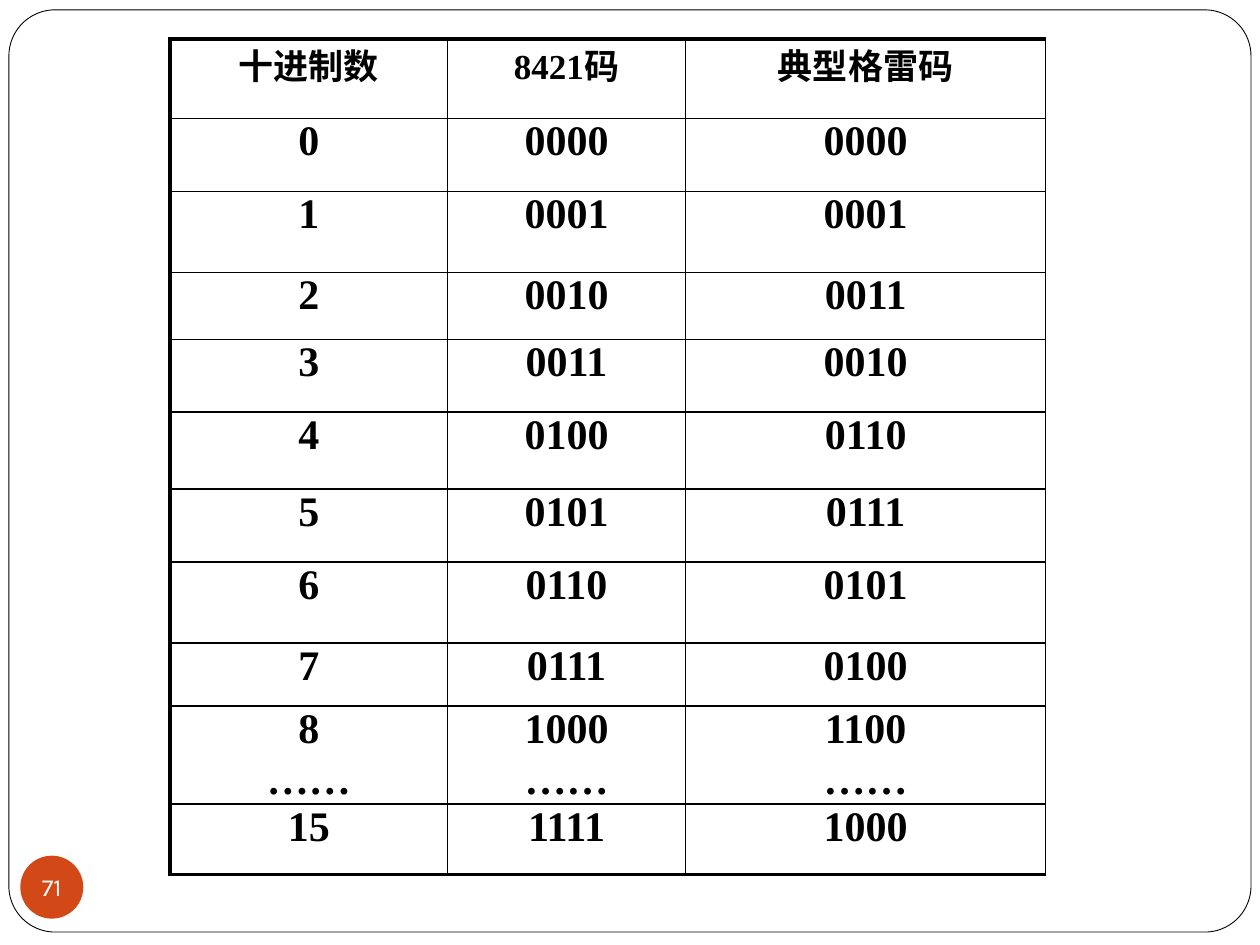
import pptx
import pptx.dml.color
import pptx.enum.shapes
import pptx.enum.text
import pptx.oxml
import pptx.oxml.ns
import pptx.util

Cm, Pt = pptx.util.Cm, pptx.util.Pt
SHAPES = pptx.enum.shapes.MSO_SHAPE
BLACK, WHITE, ORANGE = "000000", "FFFFFF", "D34817"
THIN, THICK = 1, 2.25
HEADERS = ["十进制数", "8421码", "典型格雷码"]
COLUMN_WIDTHS = [5.59, 4.8, 7.26]
ROW_HEIGHTS = [1.6, 1.47, 1.63, 1.35, 1.47, 1.55, 1.47, 1.63, 1.27, 1.6, 1.42]
CELL_FORMAT = {
    "margin_left": Cm(0.25),
    "margin_right": Cm(0.25),
    "margin_top": Cm(0),
    "margin_bottom": Cm(0),
    "vertical_anchor": pptx.enum.text.MSO_ANCHOR.TOP,
}
BADGE_FORMAT = {
    "margin_left": Cm(0),
    "margin_right": Cm(0),
    "margin_top": Cm(0),
    "margin_bottom": Cm(0),
    "vertical_anchor": pptx.enum.text.MSO_ANCHOR.MIDDLE,
    "word_wrap": False,
}


def color(value):
    """Return the colour for a hex string."""
    return pptx.dml.color.RGBColor.from_string(value)


def apply_format(target, values):
    """Set each named attribute on the target."""
    for name, value in values.items():
        setattr(target, name, value)


def write_paragraph(paragraph, text, font_color, **font_format):
    """Write one centred, formatted paragraph."""
    paragraph.alignment = pptx.enum.text.PP_ALIGN.CENTER
    run = paragraph.add_run()
    run.text = text
    apply_format(run.font, font_format)
    run.font.color.rgb = color(font_color)


def add_filled_shape(slide, kind, position, fill):
    """Add a flat preset shape placed in centimetres."""
    shape = slide.shapes.add_shape(kind, *map(Cm, position))
    shape.shadow.inherit = False
    shape.fill.solid()
    shape.fill.fore_color.rgb = color(fill)
    return shape


def add_frame(slide):
    """Add the rounded frame around the slide."""
    frame = add_filled_shape(slide, SHAPES.ROUNDED_RECTANGLE, (0.18, 0.2, 25.04, 18.59), WHITE)
    frame.adjustments[0] = 0.05
    frame.line.color.rgb = color(BLACK)
    frame.line.width = Pt(0.5)


def add_page_badge(slide, number):
    """Add the round page number badge."""
    badge = add_filled_shape(slide, SHAPES.OVAL, (0.41, 17.25, 1.27, 1.27), ORANGE)
    badge.line.fill.background()
    apply_format(badge.text_frame, BADGE_FORMAT)
    write_paragraph(badge.text_frame.paragraphs[0], number, WHITE, name="Karla", size=Pt(14))


def set_borders(cell, widths):
    """Draw the cell borders with the given widths in points."""
    namespace = pptx.oxml.ns.nsdecls("a")
    properties = cell._tc.get_or_add_tcPr()
    for index, (side, width) in enumerate(widths.items()):
        border = pptx.oxml.parse_xml(
            f'<a:ln{side} {namespace} w="{Pt(width)}"><a:solidFill>'
            f'<a:srgbClr val="{BLACK}"/></a:solidFill></a:ln{side}>'
        )
        properties.insert(index, border)


def fill_cell(cell, text, size):
    """Write the lines of a cell and clear its fill."""
    apply_format(cell, CELL_FORMAT)
    cell.fill.background()
    for index, line in enumerate(text.split("\n")):
        frame = cell.text_frame
        paragraph = frame.add_paragraph() if index else frame.paragraphs[0]
        if index:
            paragraph.space_before = Pt(3)
        write_paragraph(paragraph, line, BLACK, name="Times New Roman", size=Pt(size), bold=True)


def code_row(number):
    """Return the decimal, binary and Gray code texts of a number."""
    texts = [str(number), f"{number:04b}", f"{number ^ number >> 1:04b}"]
    return [text + "\n……" for text in texts] if number == 8 else texts


def add_code_table(slide):
    """Add the table of decimal numbers and their codes."""
    rows = [HEADERS] + [code_row(number) for number in [*range(9), 15]]
    table = slide.shapes.add_table(
        len(rows), len(HEADERS), Cm(3.43), Cm(0.79),
        Cm(sum(COLUMN_WIDTHS)), Cm(sum(ROW_HEIGHTS)),
    ).table
    apply_format(table, {"first_row": False, "horz_banding": False})
    for column, width in zip(table.columns, COLUMN_WIDTHS):
        column.width = Cm(width)
    for row, height in zip(table.rows, ROW_HEIGHTS):
        row.height = Cm(height)
    last = len(rows) - 1
    for row_index, texts in enumerate(rows):
        for column_index, text in enumerate(texts):
            cell = table.cell(row_index, column_index)
            fill_cell(cell, text, 24 if row_index else 20)
            set_borders(cell, {
                "L": THIN if column_index else THICK,
                "R": THIN,
                "T": THIN if row_index else THICK,
                "B": THICK if row_index == last else THIN,
            })


def main():
    """Build and save the presentation."""
    presentation = pptx.Presentation()
    apply_format(presentation, {"slide_width": Cm(25.4), "slide_height": Cm(19.05)})
    slide = presentation.slides.add_slide(presentation.slide_layouts[6])
    add_frame(slide)
    add_page_badge(slide, "71")
    add_code_table(slide)
    presentation.save("out.pptx")


if __name__ == "__main__":
    main()
